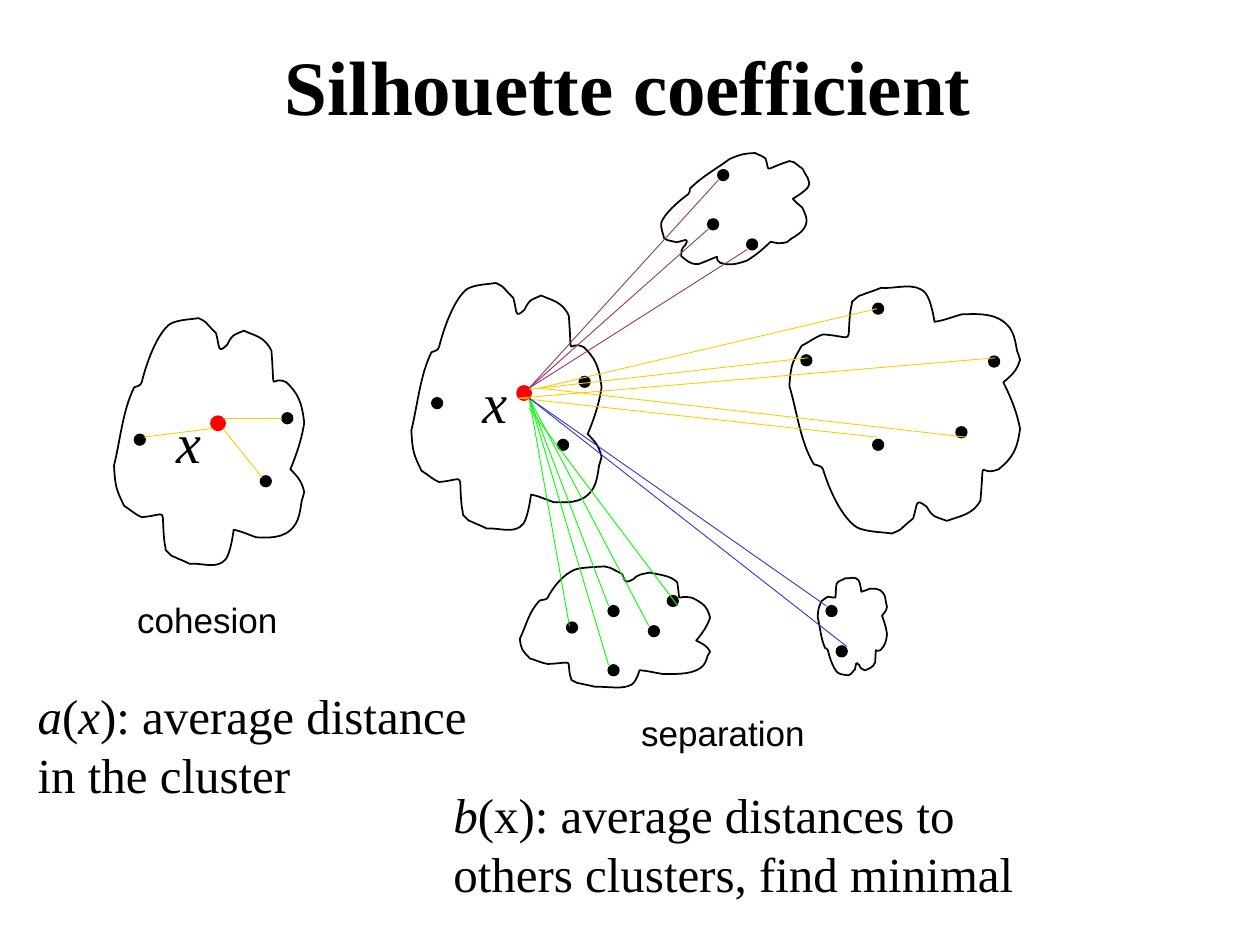
from lxml import etree
from pptx import Presentation
from pptx.dml.color import RGBColor
from pptx.enum.shapes import MSO_CONNECTOR, MSO_SHAPE
from pptx.enum.text import MSO_ANCHOR, MSO_AUTO_SIZE, PP_ALIGN
from pptx.oxml.ns import qn
from pptx.util import Pt

COLORS = {"black": "000000", "red": "FF0000", "yellow": "FFCC00",
          "green": "00FF00", "blue": "3333CC", "purple": "993366"}
SERIF, SANS = "Times New Roman", "Arial"
DOT = 6

# Cluster outline in an upright box: start point, then three points per curve
OUTLINE_W, OUTLINE_H = 151, 200
OUTLINE = [
    (16, 55),
    (7, 73), (5, 97), (0, 117), (1, 135), (2, 136), (8, 149),
    (13, 152), (17, 156), (22, 158), (44, 156), (37, 149), (40, 177),
    (40, 179), (41, 181), (41, 184), (48, 191), (43, 187), (51, 191),
    (54, 192), (60, 195), (60, 195), (70, 194), (82, 200), (89, 191),
    (93, 185), (95, 168), (95, 168), (101, 169), (107, 172), (113, 174),
    (121, 174), (135, 176), (143, 165), (147, 160), (148, 152), (149, 145),
    (150, 142), (151, 138), (151, 138), (149, 129), (145, 125), (140, 120),
    (145, 108), (149, 96), (151, 83), (149, 66), (146, 60), (137, 51),
    (123, 44), (128, 65), (125, 26), (120, 15), (112, 14), (103, 10),
    (97, 13), (94, 12), (90, 21), (82, 29), (84, 23), (81, 12),
    (70, 1), (75, 4), (67, 0), (63, 1), (50, 1), (44, 5),
    (34, 13), (26, 35), (22, 51), (21, 54), (18, 54), (16, 55),
]

# clusters: left, top, width, height, rotation, mirrored
# lines: colour, from, list of ends
# labels: text, left, top, width, height, size, font, italic, wrap, line spacing
SEPARATION = {
    "clusters": [
        (217.4, 179.3, 144, 108.7, 270, False),
        (445, 167, 144, 131.8, 90, True),
        (316.1, 304.6, 70.6, 108.7, 270, False),
        (458.6, 337.7, 56.9, 39.6, 90, True),
        (376.6, 91.4, 90.7, 56.9, 155.2, True),
    ],
    "x": (299.5, 224.6),
    "dots": [
        (321.8, 254.2), (249.8, 230.4), (334.1, 218.2),
        (568.1, 206.6), (460.8, 205.9), (501.8, 254.2), (501.8, 176.4), (549.4, 247),
        (350.6, 383), (326.9, 358.6), (384.5, 343.4), (373.7, 360.7), (350.6, 349.2),
        (481, 372.2), (475.2, 349.2),
        (413.3, 100.1), (407.5, 128.2), (429.8, 139.7),
    ],
    "lines": [
        ("yellow", (302.4, 222.5), [(461.5, 204.5)]),
        ("yellow", (296.6, 227.5), [(501.1, 249.8), (568.8, 204.5)]),
        ("yellow", (308.2, 221.8), [(552.2, 249.8), (501.1, 176.4)]),
        ("green", (302.4, 233.3), [(387.4, 346.3)]),
        ("green", (302.4, 227.5), [(370.8, 357.8), (347.8, 346.3),
                                   (347.8, 380.2), (325.4, 357.8)]),
        ("blue", (302.4, 227.5), [(472.3, 346.3), (483.8, 369.4)]),
        ("purple", (302.4, 221.8), [(404.6, 131), (427, 142.6), (410.4, 103)]),
    ],
    "labels": [
        ("separation", 359.3, 403.2, 108, 31.7, 20, SANS, False, False, None),
        ("x", 268.6, 199.4, 33.8, 53.3, 32, SERIF, True, True, 1.19),
    ],
}
COHESION = {
    "clusters": [(47.5, 199.4, 144, 108.7, 270, False)],
    "x": (124.6, 241.9),
    "dots": [(151.9, 275), (79.9, 251.3), (164.2, 239)],
    "lines": [
        ("yellow", (82.1, 249.8), [(121.7, 244.8)]),
        ("yellow", (127.4, 244.8), [(149.8, 272.9)]),
        ("yellow", (127.4, 239), [(161.3, 239)]),
    ],
    "labels": [
        ("cohesion", 71.3, 338.4, 98, 31.7, 20, SANS, False, False, None),
        ("x", 93.6, 221.8, 45.4, 53.3, 32, SERIF, True, True, 1.19),
    ],
}
# Runs as (text, italic), then left, top, width, height
A_TEXT = ([("a", True), ("(", False), ("x", True),
           ("): average distance in the cluster", False)], 14.4, 388.1, 260.6, 74.9)
B_TEXT = ([("b", True), ("(x): average distances to others clusters, find minimal", False)],
          252, 445, 334.8, 74.9)


def rgb(name):
    return RGBColor.from_string(COLORS[name])


def style_font(font, size, name, italic=False, bold=False):
    font.size, font.name = Pt(size), name
    font.italic, font.bold = italic, bold
    font.color.rgb = rgb("black")


def add_text(shapes, runs, left, top, width, height, size=28, name=SERIF,
             wrap=True, spacing=None):
    tf = shapes.add_textbox(Pt(left), Pt(top), Pt(width), Pt(height)).text_frame
    tf.word_wrap = wrap
    tf.auto_size = MSO_AUTO_SIZE.SHAPE_TO_FIT_TEXT
    p = tf.paragraphs[0]
    p.line_spacing = spacing
    for text, italic in runs:
        r = p.add_run()
        r.text = text
        style_font(r.font, size, name, italic)


def add_cluster(shapes, left, top, width, height, rotation, mirrored):
    """Lay the upright outline on its side, fit it to the frame and rotate it."""
    points = []
    for x, y in OUTLINE:
        v = x / OUTLINE_W
        points.append((Pt(left + width * (1 - y / OUTLINE_H)),
                       Pt(top + height * (1 - v if mirrored else v))))
    builder = shapes.build_freeform(*points[0])
    builder.add_line_segments(points[1:], close=True)
    sp = builder.convert_to_shape()
    # Turn every three straight segments into one cubic curve
    segments = list(sp._element.iter(qn("a:lnTo")))
    for i in range(0, len(segments), 3):
        curve = etree.Element(qn("a:cubicBezTo"))
        segments[i].addprevious(curve)
        for segment in segments[i:i + 3]:
            curve.append(segment[0])
            segment.getparent().remove(segment)
    sp.rotation = rotation
    sp.shadow.inherit = False
    sp.fill.background()
    sp.line.color.rgb = rgb("black")
    sp.line.width = Pt(1)


def add_dot(shapes, center, color="black", line_width=1):
    x, y = center
    sp = shapes.add_shape(MSO_SHAPE.OVAL, Pt(x - DOT / 2), Pt(y - DOT / 2), Pt(DOT), Pt(DOT))
    sp.shadow.inherit = False
    sp.fill.solid()
    sp.fill.fore_color.rgb = sp.line.color.rgb = rgb(color)
    sp.line.width = Pt(line_width)


def add_line(shapes, start, end, color):
    line = shapes.add_connector(MSO_CONNECTOR.STRAIGHT, *map(Pt, start + end))
    line.line.color.rgb = rgb(color)
    line.line.width = Pt(0.5)
    etree.SubElement(line._element.spPr, qn("a:effectLst"))


def add_diagram(slide, diagram):
    shapes = slide.shapes.add_group_shape().shapes
    for cluster in diagram["clusters"]:
        add_cluster(shapes, *cluster)
    for dot in diagram["dots"]:
        add_dot(shapes, dot)
    add_dot(shapes, diagram["x"], "red", 3)
    for color, start, ends in diagram["lines"]:
        for end in ends:
            add_line(shapes, start, end, color)
    for text, left, top, width, height, size, name, italic, wrap, spacing in diagram["labels"]:
        add_text(shapes, [(text, italic)], left, top, width, height, size, name, wrap, spacing)


def add_title(slide, text):
    title = slide.shapes.title
    title.left, title.top, title.width, title.height = Pt(17.3), Pt(19.4), Pt(683.3), Pt(57.6)
    tf = title.text_frame
    tf.text = text
    tf.margin_left = tf.margin_right = tf.margin_top = tf.margin_bottom = 0
    tf.vertical_anchor = MSO_ANCHOR.MIDDLE
    p = tf.paragraphs[0]
    p.alignment = PP_ALIGN.CENTER
    style_font(p.runs[0].font, 44, SERIF, bold=True)


def main():
    prs = Presentation()
    prs.slide_width, prs.slide_height = Pt(720), Pt(540)
    slide = prs.slides.add_slide(prs.slide_layouts[5])
    add_title(slide, "Silhouette coefficient")
    add_diagram(slide, SEPARATION)
    add_text(slide.shapes, *A_TEXT)
    add_diagram(slide, COHESION)
    add_text(slide.shapes, *B_TEXT)
    prs.save("out.pptx")


if __name__ == "__main__":
    main()
